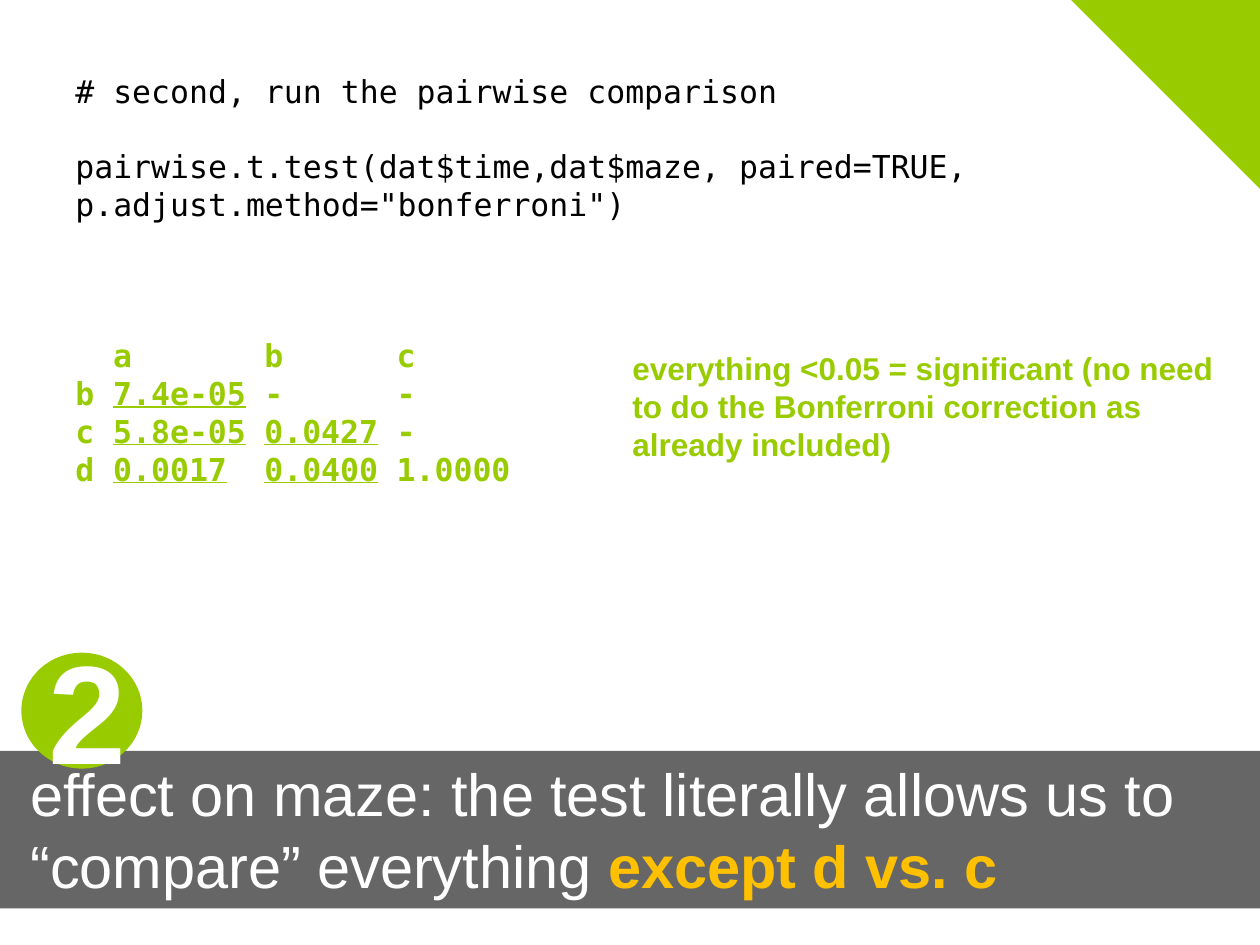
from lxml.etree import SubElement
from pptx import Presentation
from pptx.dml.color import RGBColor
from pptx.enum.shapes import MSO_SHAPE as Shape
from pptx.enum.text import MSO_ANCHOR as Anchor, MSO_AUTO_SIZE as AutoSize, PP_ALIGN as Align
from pptx.oxml.ns import qn
from pptx.util import Inches, Pt

COLORS = {"green": "99CC00", "black": "000000", "white": "FFFFFF", "gold": "FFC000"}
SANS, MONO = "Arial", "DejaVu Sans Mono"
CODE = [
    "# second, run the pairwise comparison",
    'pairwise.t.test(dat$time,dat$maze, paired=TRUE, p.adjust.method="bonferroni")',
]
P_VALUES = [
    ("", "a", "b", "c"),
    ("b", "7.4e-05", "-", "-"),
    ("c", "5.8e-05", "0.0427", "-"),
    ("d", "0.0017", "0.0400", "1.0000"),
]
SIGNIFICANT = {"7.4e-05", "5.8e-05", "0.0427", "0.0017", "0.0400"}
NOTE = "everything <0.05 = significant (no need to do the Bonferroni correction as already included)"
CONCLUSION = [
    ("effect on maze: the test literally allows us to “compare” everything ", "white", False),
    ("except d vs. c", "gold", True),
]
CHAR_WIDTH = 0.15
COLUMN_STARTS = (2, 10, 17)
LINE = 21.6


def rgb(name):
    return RGBColor.from_string(COLORS[name])


def add_run(paragraph, text, size, color, font=SANS, bold=False, underline=False):
    run = paragraph.add_run()
    run.text = text
    run.font.size, run.font.name = Pt(size), font
    run.font.bold, run.font.underline = bold, underline
    run.font.color.rgb = rgb(color)


def add_text(slide, left, top, width, height):
    frame = slide.shapes.add_textbox(*map(Inches, (left, top, width, height))).text_frame
    frame.word_wrap = True
    return frame


def add_green(slide, kind, left, top, width, height):
    shape = slide.shapes.add_shape(kind, *map(Inches, (left, top, width, height)))
    shape.shadow.inherit = False
    shape.fill.solid()
    shape.fill.fore_color.rgb = rgb("green")
    shape.line.fill.background()
    return shape


def add_tab_stops(paragraph):
    stops = SubElement(paragraph._p.get_or_add_pPr(), qn("a:tabLst"))
    for start in COLUMN_STARTS:
        SubElement(stops, qn("a:tab"), pos=str(Inches(start * CHAR_WIDTH)), algn="l")


def add_console(slide):
    frame = add_text(slide, 0.5, 0.52, 9, 3.5)
    for i, line in enumerate(CODE):
        paragraph = frame.add_paragraph() if i else frame.paragraphs[0]
        if i:
            paragraph.space_before = Pt(LINE)
        add_run(paragraph, line, 18, "black", MONO)
    for i, row in enumerate(P_VALUES):
        paragraph = frame.add_paragraph()
        if i == 0:
            paragraph.space_before = Pt(3 * LINE)
        add_tab_stops(paragraph)
        for column, value in enumerate(row):
            if column:
                add_run(paragraph, "\t", 18, "green", MONO, True)
            if value:
                add_run(paragraph, value, 18, "green", MONO, True, value in SIGNIFICANT)


def add_conclusion(slide):
    banner = slide.shapes.title
    banner.left, banner.top, banner.width, banner.height = map(Inches, (0, 5.96, 10, 1.25))
    banner.fill.solid()
    banner.fill.fore_color.rgb = rgb("black")
    SubElement(banner._element.spPr.find(".//" + qn("a:srgbClr")), qn("a:alpha"), val="60000")
    frame = banner.text_frame
    frame.auto_size = AutoSize.NONE
    frame.vertical_anchor = Anchor.TOP
    frame.margin_left = Inches(0.24)
    frame.paragraphs[0].alignment = Align.LEFT
    for text, color, bold in CONCLUSION:
        add_run(frame.paragraphs[0], text, 34, color, bold=bold)


def main():
    deck = Presentation()
    deck.slide_width, deck.slide_height = Inches(10), Inches(7.5)
    slide = deck.slides.add_slide(deck.slide_layouts[5])

    add_conclusion(slide)
    add_green(slide, Shape.RIGHT_TRIANGLE, 8.5, 0, 1.5, 1.5).rotation = 180
    add_console(slide)
    add_green(slide, Shape.OVAL, 0.17, 5.18, 0.96, 0.92)
    step = add_text(slide, 0.29, 5.32, 0.84, 0.6)
    step.vertical_anchor = Anchor.MIDDLE
    step.margin_top = step.margin_bottom = step.margin_right = 0
    add_run(step.paragraphs[0], "2", 80, "white", bold=True)
    add_run(add_text(slide, 4.92, 2.72, 5.08, 1.01).paragraphs[0], NOTE, 18, "green", bold=True)

    deck.save("out.pptx")


if __name__ == "__main__":
    main()
